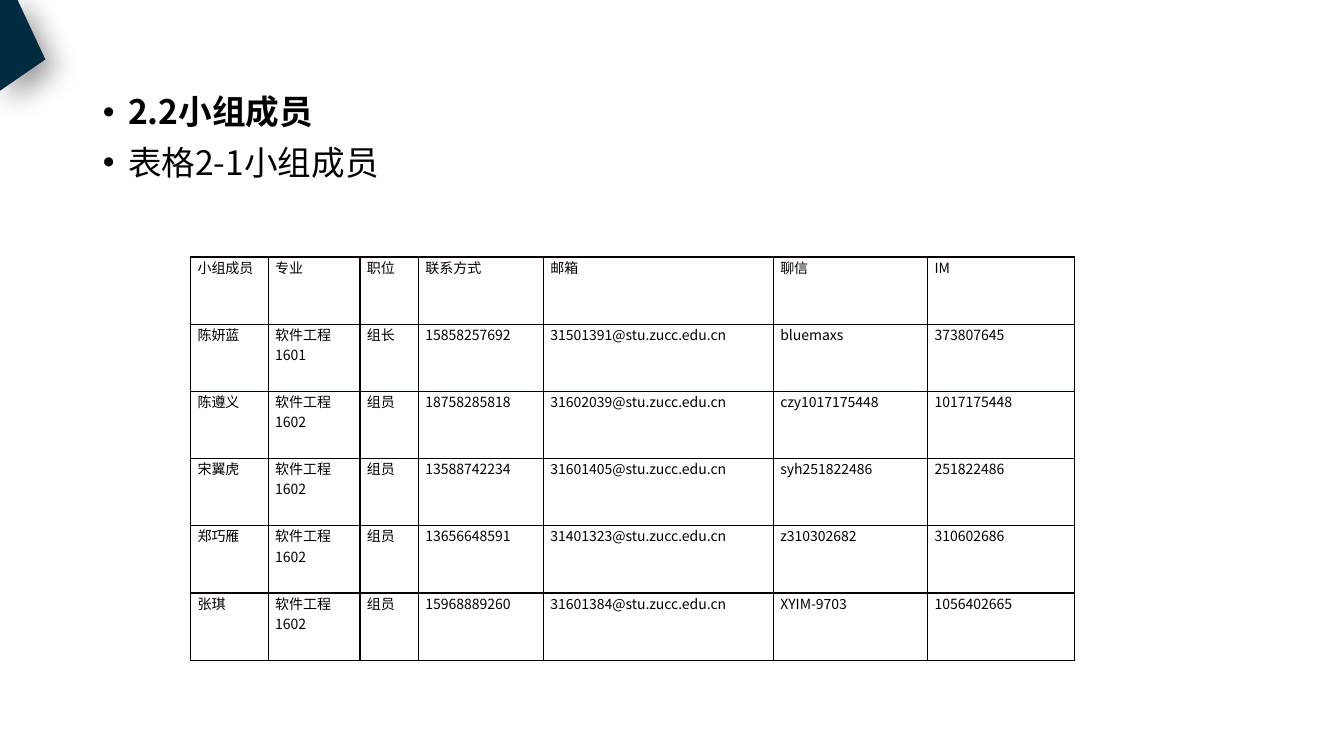
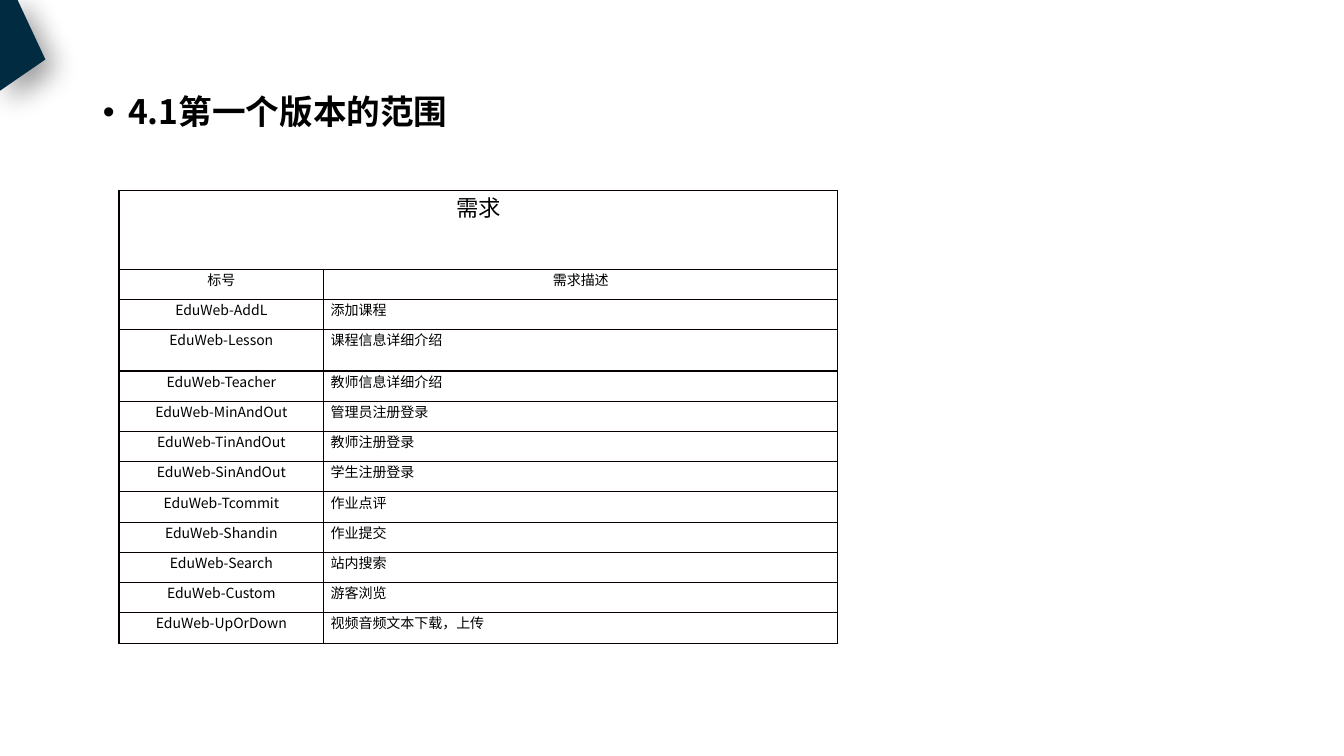
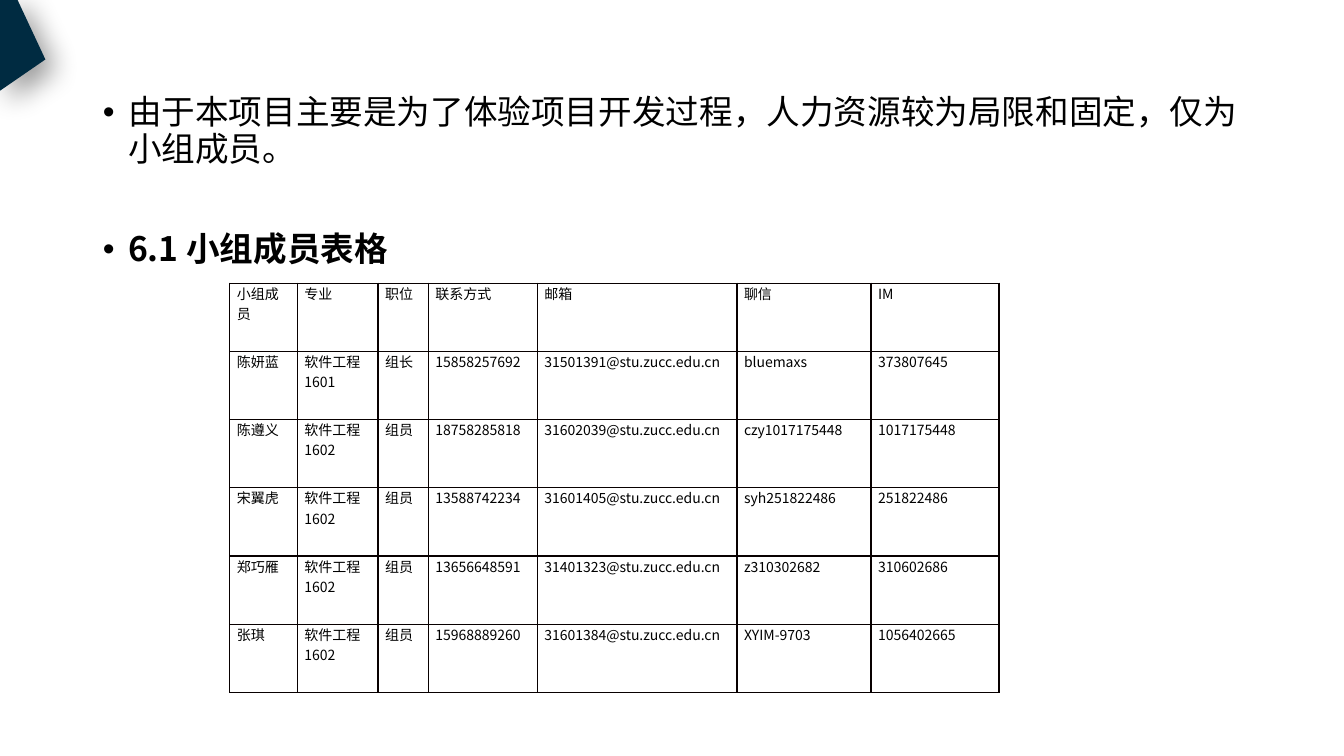
from lxml import etree
from pptx import Presentation
from pptx import util as u
from pptx.dml import color
from pptx.enum import text
from pptx.oxml import ns

FONT = "Noto Sans CJK SC"
BLACK, NAVY, BORDER = "000000", "002B41", "080000"
CORNER = [(0.17, -0.01), (0, -0.01), (0, 0.9), (0.45, 0.59)]

MEMBERS = [
    ("小组成员", "专业", "职位", "联系方式", "邮箱", "聊信", "IM"),
    ("陈妍蓝", "软件工程1601", "组长", "15858257692", "31501391@stu.zucc.edu.cn", "bluemaxs", "373807645"),
    ("陈遵义", "软件工程1602", "组员", "18758285818", "31602039@stu.zucc.edu.cn", "czy1017175448", "1017175448"),
    ("宋翼虎", "软件工程1602", "组员", "13588742234", "31601405@stu.zucc.edu.cn", "syh251822486", "251822486"),
    ("郑巧雁", "软件工程1602", "组员", "13656648591", "31401323@stu.zucc.edu.cn", "z310302682", "310602686"),
    ("张琪", "软件工程1602", "组员", "15968889260", "31601384@stu.zucc.edu.cn", "XYIM-9703", "1056402665"),
]
REQUIREMENTS = [
    ("需求",),
    ("标号", "需求描述"),
    ("EduWeb-AddL", "添加课程"),
    ("EduWeb-Lesson", "课程信息详细介绍"),
    ("EduWeb-Teacher", "教师信息详细介绍"),
    ("EduWeb-MinAndOut", "管理员注册登录"),
    ("EduWeb-TinAndOut", "教师注册登录"),
    ("EduWeb-SinAndOut", "学生注册登录"),
    ("EduWeb-Tcommit", "作业点评"),
    ("EduWeb-Shandin", "作业提交"),
    ("EduWeb-Search", "站内搜索"),
    ("EduWeb-Custom", "游客浏览"),
    ("EduWeb-UpOrDown", "视频音频文本下载，上传"),
]

SLIDES = [
    {
        "bullets": [("2.2小组成员", True, 0), ("表格2-1小组成员", False, 10)],
        "rows": MEMBERS,
        "at": (1.89, 2.55),
        "widths": [0.77, 0.91, 0.58, 1.24, 2.28, 1.53, 1.46],
        "heights": [4 / len(MEMBERS)] * len(MEMBERS),
        "centred": False,
    },
    {
        "bullets": [("4.1第一个版本的范围", True, 0)],
        "rows": REQUIREMENTS,
        "at": (1.18, 1.89),
        "widths": [2.03, 5.1],
        "heights": [0.78, 0.3, 0.3, 0.41] + [0.3] * 9,
        "centred": True,
    },
    {
        "bullets": [
            ("由于本项目主要是为了体验项目开发过程，人力资源较为局限和固定，仅为小组成员。", False, 0),
            ("6.1 小组成员表格", True, 46),
        ],
        "rows": MEMBERS,
        "at": (2.28, 2.81),
        "widths": [0.67, 0.8, 0.5, 1.08, 1.98, 1.33, 1.27],
        "heights": [4.06 / len(MEMBERS)] * len(MEMBERS),
        "centred": False,
    },
]


def rgb(value):
    return color.RGBColor.from_string(value)


def apply(target, values):
    for name, value in values.items():
        setattr(target, name, value)


def add_element(parent, tag, **attributes):
    return etree.SubElement(parent, ns.qn(tag), attributes)


def write(paragraph, content, size, bold=False):
    run = paragraph.add_run()
    run.text = content
    apply(run.font, {"name": FONT, "size": u.Pt(size), "bold": bold})
    run.font.color.rgb = rgb(BLACK)
    add_element(run.font._element, "a:ea", typeface=FONT)


def add_bullets(slide, bullets):
    slide.shapes.title.element.getparent().remove(slide.shapes.title.element)
    body = slide.placeholders[1]
    apply(body, dict(zip(("left", "top", "width", "height"), map(u.Inches, (0.92, 0.9, 11.5, 5.86)))))
    frame = body.text_frame
    apply(frame, {"word_wrap": True, "auto_size": text.MSO_AUTO_SIZE.NONE,
                  "vertical_anchor": text.MSO_ANCHOR.TOP})
    for index, (content, bold, before) in enumerate(bullets):
        paragraph = frame.add_paragraph() if index else frame.paragraphs[0]
        properties = paragraph._p.get_or_add_pPr()
        properties.set("marL", str(u.Inches(0.25)))
        properties.set("indent", str(u.Inches(-0.25)))
        add_element(properties, "a:buFont", typeface="Arial")
        add_element(properties, "a:buChar", char="•")
        apply(paragraph, {"line_spacing": 0.9, "space_before": u.Pt(before)})
        write(paragraph, content, 24, bold)


def add_corner(slide):
    points = [(u.Inches(x), u.Inches(y)) for x, y in CORNER]
    builder = slide.shapes.build_freeform(*points[0])
    builder.add_line_segments(points[1:], close=True)
    corner = builder.convert_to_shape()
    corner.fill.solid()
    corner.fill.fore_color.rgb = rgb(NAVY)
    corner.line.fill.background()
    corner.shadow.inherit = False
    effects = corner.element.spPr.find(ns.qn("a:effectLst"))
    shadow = add_element(effects, "a:outerShdw", blurRad=str(u.Pt(20)), dist=str(u.Pt(10)),
                         dir=str(45 * 60000), algn="tl", rotWithShape="0")
    shade = add_element(shadow, "a:srgbClr", val=BLACK)
    add_element(shade, "a:alpha", val="40000")


def format_cell(cell):
    apply(cell, {"margin_left": u.Inches(0.07), "margin_right": u.Inches(0.07),
                 "margin_top": 0, "margin_bottom": 0})
    cell.fill.background()
    properties = cell._tc.get_or_add_tcPr()
    for index, side in enumerate(("a:lnL", "a:lnR", "a:lnT", "a:lnB")):
        line = add_element(properties, side, w=str(u.Pt(1)))
        add_element(add_element(line, "a:solidFill"), "a:srgbClr", val=BORDER)
        properties.insert(index, line)


def add_table(slide, rows, at, widths, heights, centred):
    left, top, width, height = map(u.Inches, (*at, sum(widths), sum(heights)))
    table = slide.shapes.add_table(len(rows), len(widths), left, top, width, height).table
    apply(table, {"first_row": False, "horz_banding": False})
    for column, size in zip(table.columns, widths):
        column.width = u.Inches(size)
    for row, size in zip(table.rows, heights):
        row.height = u.Inches(size)
    for cell in table.iter_cells():
        format_cell(cell)
    for row_index, values in enumerate(rows):
        spans = len(values) < len(widths)
        if spans:
            table.cell(row_index, 0).merge(table.cell(row_index, len(widths) - 1))
        for column_index, content in enumerate(values):
            paragraph = table.cell(row_index, column_index).text_frame.paragraphs[0]
            if centred and (row_index < 2 or column_index == 0):
                paragraph.alignment = text.PP_ALIGN.CENTER
            write(paragraph, content, 16 if spans else 10)


def main():
    presentation = Presentation()
    apply(presentation, {"slide_width": u.Inches(13.33), "slide_height": u.Inches(7.5)})
    for content in SLIDES:
        slide = presentation.slides.add_slide(presentation.slide_layouts[1])
        add_bullets(slide, content["bullets"])
        add_corner(slide)
        add_table(slide, **{name: value for name, value in content.items() if name != "bullets"})
    presentation.save("out.pptx")


if __name__ == "__main__":
    main()
